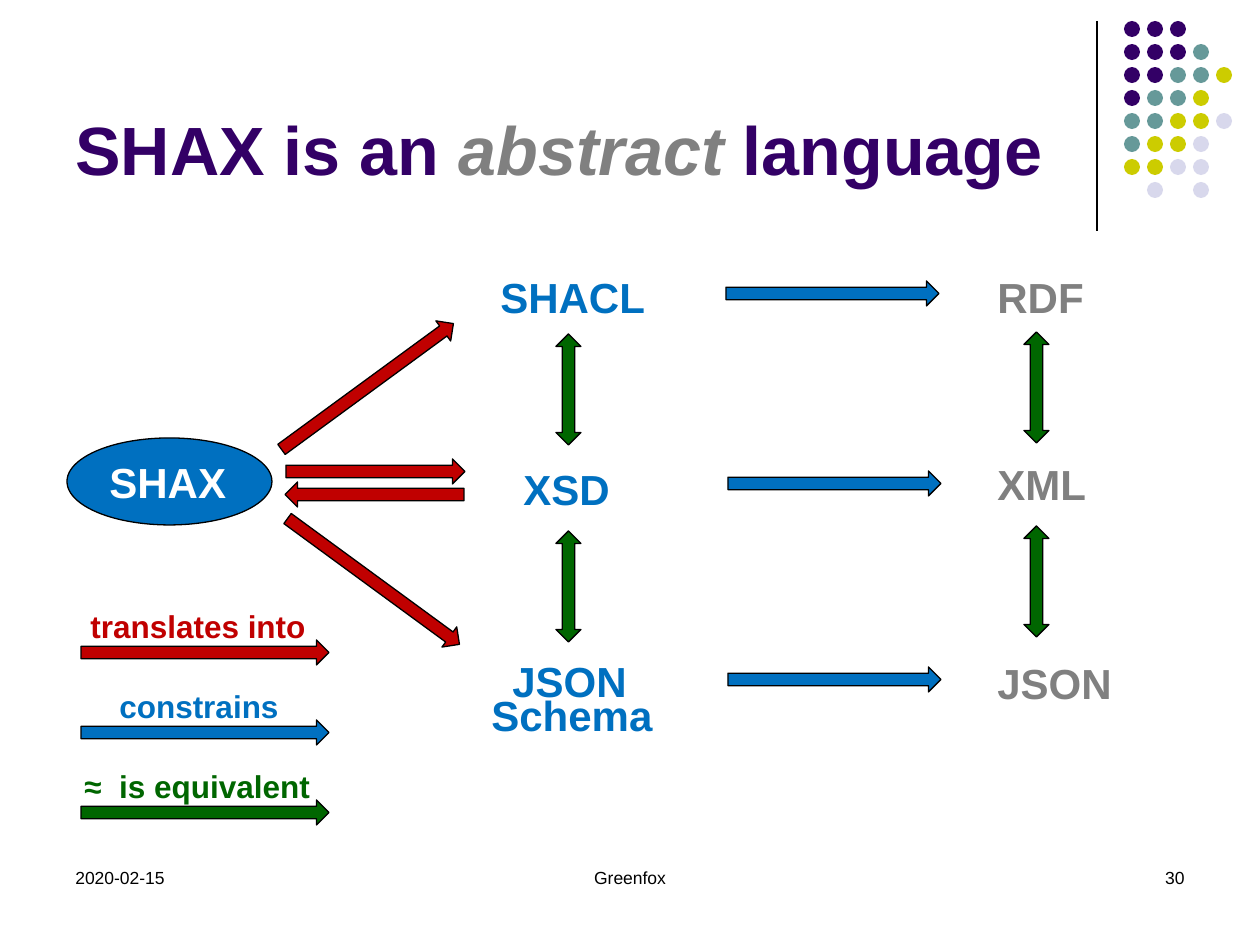
import pptx
import pptx.dml.color
import pptx.enum.shapes
import pptx.enum.text
import pptx.util
import lxml.etree
from pptx.oxml.ns import qn

SCALE = 914400 // 126
COLORS = {
    "black": "000000", "white": "FFFFFF", "purple": "330066", "teal": "669999",
    "olive": "CCCC00", "lavender": "D8D8EC", "blue": "0070C0", "grey": "808080",
    "green": "006600", "red": "C00000",
}
SHAPES = pptx.enum.shapes.MSO_SHAPE
ALIGN = pptx.enum.text.PP_ALIGN
ANCHOR = pptx.enum.text.MSO_ANCHOR
THICKNESS = 25


def rgb(color):
    """Look up a named colour."""
    return pptx.dml.color.RGBColor.from_string(COLORS[color])


def emu(*pixels):
    """Turn pixel lengths into EMU."""
    return [pptx.util.Emu(pixel * SCALE) for pixel in pixels]


def style(run, size, color, bold=True, italic=False):
    """Format one run of text."""
    font = run.font
    font.name, font.size = "Arial", pptx.util.Pt(size)
    font.bold, font.italic = bold, italic
    font.color.rgb = rgb(color)


def add_text(slide, box, text, size, color, bold=True, align=ALIGN.LEFT):
    """Place a text box with a single formatted line."""
    frame = slide.shapes.add_textbox(*emu(*box)).text_frame
    frame.word_wrap = True
    frame.text = text
    line = frame.paragraphs[0]
    line.alignment = align
    style(line.runs[0], size, color, bold)
    return frame


def add_solid(slide, kind, box, color, outlined=True, rotation=0):
    """Place a filled preset shape, with or without a thin black outline."""
    solid = slide.shapes.add_shape(kind, *emu(*box))
    solid.shadow.inherit = False
    solid.rotation = rotation
    solid.fill.solid()
    solid.fill.fore_color.rgb = rgb(color)
    if outlined:
        solid.line.color.rgb = rgb("black")
        solid.line.width = pptx.util.Pt(0.75)
    else:
        solid.line.fill.background()
    return solid


def add_ornament(slide, left, top):
    """Draw the divider and the dot pattern to its right."""
    divider = slide.shapes.add_connector(
        pptx.enum.shapes.MSO_CONNECTOR.STRAIGHT,
        *emu(left, top, left, top + 210))
    divider.line.color.rgb = rgb("black")
    divider.line.width = pptx.util.Pt(0.75)
    lxml.etree.SubElement(divider._element.spPr, qn("a:effectLst"))

    pattern = ["PPP", "PPPT", "PPTTO", "PTTO", "TTOOL", "TOOL", "OOLL", " L L"]
    dot_colors = {"P": "purple", "T": "teal", "O": "olive", "L": "lavender"}
    pitch, size = 23, 16
    for row, codes in enumerate(pattern):
        for column, code in enumerate(codes):
            if code in dot_colors:
                box = (left + 27 + column * pitch, top + row * pitch, size, size)
                add_solid(slide, SHAPES.OVAL, box, dot_colors[code], outlined=False)


def add_title(slide, left, top, width, height):
    """Write the headline with its emphasised word."""
    frame = add_text(slide, (left, top, width, height), "SHAX is an ", 39, "purple")
    frame.vertical_anchor = ANCHOR.BOTTOM
    for text, color, italic in [("abstract", "grey", True),
                                (" language", "purple", False)]:
        run = frame.paragraphs[0].add_run()
        run.text = text
        style(run, 39, color, italic=italic)


def add_source_language(slide, left, top):
    """Draw the SHAX ellipse and its red translation arrows."""
    shax = add_solid(slide, SHAPES.OVAL, (left, top, 205, 87), "blue")
    frame = shax.text_frame
    frame.margin_right = 0
    frame.vertical_anchor = ANCHOR.TOP
    frame.text = "SHAX"
    frame.paragraphs[0].alignment = ALIGN.LEFT
    style(frame.paragraphs[0].runs[0], 24, "white")

    for x, y, length, rotation in [(194, -64, 213, 323.8), (200, 131, 213, 36.2),
                                   (219, 21, 179, 0), (218, 44, 179, 180)]:
        add_solid(slide, SHAPES.RIGHT_ARROW, (left + x, top + y, length, THICKNESS),
                  "red", rotation=rotation)


def add_language_grid(slide, left, top):
    """Write schema and data languages and link them with arrows."""
    names = [
        ("SHACL", "blue", 32, 0), ("XSD", "blue", 55, 192),
        ("JSON", "blue", 44, 384), ("Schema", "blue", 23, 418),
        ("RDF", "grey", 529, 0), ("XML", "grey", 529, 187),
        ("JSON", "grey", 529, 386),
    ]
    for name, color, x, y in names:
        add_text(slide, (left + x, top + y, 189, 63), name, 24, color)

    for x, y in [(270, 16), (272, 206), (272, 402)]:
        add_solid(slide, SHAPES.RIGHT_ARROW,
                  (left + x, top + y, 213, THICKNESS), "blue")
    for x, y in [(100, 69), (100, 266), (568, 67), (568, 261)]:
        add_solid(slide, SHAPES.UP_DOWN_ARROW,
                  (left + x, top + y, THICKNESS, 111), "green")


def add_legend(slide, left, top):
    """Explain the three arrow colours."""
    entries = [("translates into", "red", 6), ("constrains", "blue", 35),
               ("≈", "green", 0)]
    for index, (label, color, indent) in enumerate(entries):
        y = top + index * 80
        add_solid(slide, SHAPES.RIGHT_ARROW,
                  (left + 9, y + 39, 248, THICKNESS), color)
        frame = add_text(slide, (left + indent, y, 265, 50), label, 18, color)
    meaning = frame.paragraphs[0]
    for text, spacing in [(" ", "500"), ("is equivalent", "0")]:
        run = meaning.add_run()
        run.text = text
        style(run, 18, color)
        run._r.get_or_add_rPr().set("spc", spacing)


def add_footer(slide, left, top, width, height):
    """Write date, topic and page number along the bottom."""
    for text, align in [("2020-02-15", ALIGN.LEFT), ("Greenfox", ALIGN.CENTER),
                        ("30", ALIGN.RIGHT)]:
        part = width // 3
        x = {ALIGN.LEFT: 0, ALIGN.CENTER: part, ALIGN.RIGHT: 2 * part}[align]
        add_text(slide, (left + x, top, part, height), text, 10, "black",
                 bold=False, align=align)


presentation = pptx.Presentation()
presentation.slide_width, presentation.slide_height = emu(1260, 945)
slide = presentation.slides.add_slide(presentation.slide_layouts[6])
add_ornament(slide, 1097, 21)
add_footer(slide, 63, 861, 1134, 63)
add_language_grid(slide, 456, 265)
add_legend(slide, 72, 601)
add_title(slide, 63, 16, 1040, 179)
add_source_language(slide, 67, 438)
presentation.save("out.pptx")
